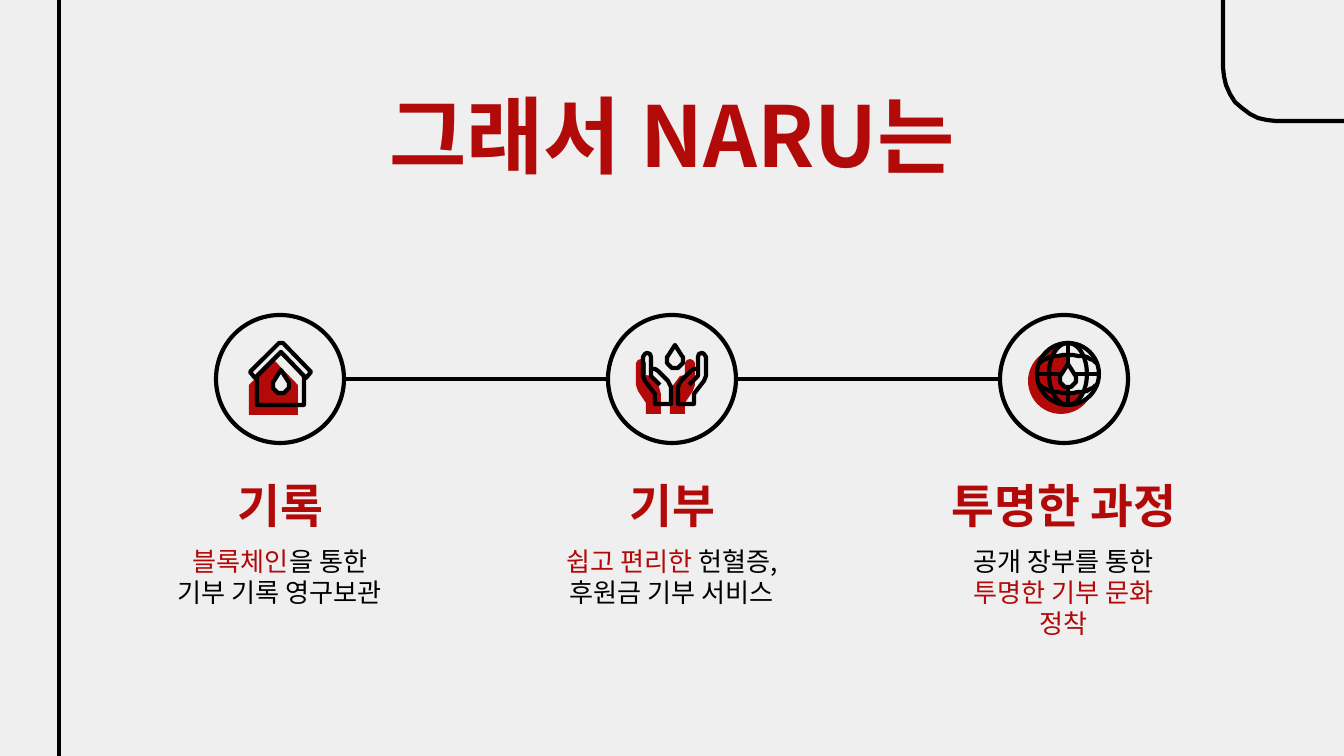
from math import cos, radians, sin

from lxml.etree import SubElement
from pptx import Presentation
from pptx.dml.color import RGBColor
from pptx.enum.shapes import MSO_CONNECTOR as Connector, MSO_SHAPE as Shape
from pptx.enum.text import MSO_ANCHOR as Anchor, PP_ALIGN as Align
from pptx.oxml.ns import qn
from pptx.util import Pt

RED = RGBColor(0xB2, 0x09, 0x09)
BLACK = RGBColor(0, 0, 0)
PAPER = RGBColor(0xEF, 0xEF, 0xEF)
FONT = "Noto Sans CJK KR"
STROKE = Pt(2.25)

WIDTH, HEIGHT = 1344, 756
EMU_PER_PX = 9144000 / WIDTH

TITLE = "그래서 NARU는"
STEPS = [
    ("기록", [[("블록체인", RED), ("을 통한", BLACK)], [("기부 기록 영구보관", BLACK)]]),
    ("기부", [[("쉽고 편리한 ", RED), ("헌혈증, 후원금 기부 서비스", BLACK)]]),
    ("투명한 과정", [[("공개 장부를 통한 ", BLACK), ("투명한 기부 문화 정착", RED)]]),
]
FIRST_CENTER, STEP_GAP = 280, 392
RING_Y, RING_RADIUS = 379, 64

HOUSE_SHADOW = [(249, 385), (274, 360), (298, 385), (298, 415), (249, 415)]
HOUSE_FILL = [(276, 366), (255, 388), (258, 410), (280, 411), (296, 395), (286, 380)]
HOUSE_WALLS = [(257, 376), (281, 352), (304, 376), (304, 405), (257, 405)]
HOUSE_ROOF = [(279, 343), (250, 372), (255, 378), (281, 352), (306, 378), (311, 372), (283, 343)]

HAND_SHADOW = [(636, 363), (638, 360), (641, 359), (644, 360), (646, 363), (646, 375),
               (651, 376), (659, 387), (661, 394), (661, 414), (646, 414), (646, 403),
               (638, 391), (636, 385)]
HAND_OUTLINE = [(643, 357), (645, 354), (647, 353), (650, 354), (651, 357), (651, 369),
                (655, 369), (658, 371), (668, 381), (671, 387), (671, 404), (655, 404),
                (655, 394), (645, 381), (643, 376)]
THUMB = [(651, 369), (651, 376), (660, 385)]
SHADOW_MIRROR, HAND_MIRROR = 1331, 1349

GLOBE_X, GLOBE_Y, GLOBE_RADIUS = 1068, 374, 31
GLOBE_LIGHT = [(1052, 356), (1062, 343), (1074, 344), (1085, 347), (1095, 357), (1099, 368),
               (1100, 379), (1091, 396), (1081, 404), (1078, 403), (1086, 391), (1068, 395),
               (1068, 387), (1060, 382), (1062, 374), (1068, 362), (1068, 355)]


def px(value):
    return round(value * EMU_PER_PX)


def paint(shape, fill, line):
    shape.shadow.inherit = False
    if fill is None:
        shape.fill.background()
    else:
        shape.fill.solid()
        shape.fill.fore_color.rgb = fill
    if line is None:
        shape.line.fill.background()
    else:
        shape.line.color.rgb = line
        shape.line.width = STROKE


def outline(points, fill=None, line=None, close=True):
    builder = slide.shapes.build_freeform(*points[0], scale=EMU_PER_PX)
    builder.add_line_segments(points[1:], close=close)
    paint(builder.convert_to_shape(), fill, line)


def ellipse(x, y, rx, ry, fill=None, line=None):
    paint(slide.shapes.add_shape(Shape.OVAL, px(x - rx), px(y - ry), px(2 * rx), px(2 * ry)), fill, line)


def rule(x1, y1, x2, y2):
    connector = slide.shapes.add_connector(Connector.STRAIGHT, px(x1), px(y1), px(x2), px(y2))
    connector.line.color.rgb = BLACK
    connector.line.width = STROKE
    SubElement(connector._element.spPr, qn("a:effectLst"))


def arc(x, y, rx, ry, start, end):
    return [(x + rx * cos(radians(a)), y + ry * sin(radians(a)))
            for a in range(start, end + (1 if end > start else -1), 10 if end > start else -10)]


def drop(x, tip):
    outline([(x, tip)] + arc(x, tip + 15, 8, 8, -30, 210), PAPER, BLACK)


def mirrored(points, total):
    return [(total - x, y) for x, y in points]


def write(box, center, top, width, height, paragraphs, size, anchor, bold=False):
    box.left, box.top = px(center - width / 2), px(top)
    box.width, box.height = px(width), px(height)
    frame = box.text_frame
    frame.word_wrap = True
    frame.vertical_anchor = anchor
    frame.margin_left = frame.margin_right = frame.margin_top = frame.margin_bottom = px(13)
    for index, pieces in enumerate(paragraphs):
        paragraph = frame.add_paragraph() if index else frame.paragraphs[0]
        paragraph.alignment = Align.CENTER
        paragraph.line_spacing = Pt(size * 1.2)
        paragraph.space_before = Pt(0)
        for words, color in pieces:
            run = paragraph.add_run()
            run.text = words
            run.font.size = Pt(size)
            run.font.bold = bold
            run.font.color.rgb = color
            run.font.name = FONT
            SubElement(run._r.get_or_add_rPr(), qn("a:ea"), typeface=FONT)


prs = Presentation()
prs.slide_width, prs.slide_height = px(WIDTH), px(HEIGHT)
slide = prs.slides.add_slide(prs.slide_layouts[5])
slide.background.fill.solid()
slide.background.fill.fore_color.rgb = PAPER

rule(59, 0, 59, HEIGHT)
outline([(1223, 0)] + arc(1276, 67, 53, 54, 180, 90) + [(WIDTH, 121)], line=BLACK, close=False)
write(slide.shapes.title, 672, 91, 858, 85, [[(TITLE, RED)]], 45, Anchor.MIDDLE, True)

for number, (heading, description) in enumerate(STEPS):
    center = FIRST_CENTER + number * STEP_GAP
    ellipse(center, RING_Y, RING_RADIUS, RING_RADIUS, line=BLACK)
    if number:
        rule(center - STEP_GAP + RING_RADIUS, RING_Y, center - RING_RADIUS, RING_Y)
    write(slide.shapes.add_textbox(0, 0, 0, 0), center, 461, 270, 85,
          [[(heading, RED)]], 25, Anchor.BOTTOM, True)
    write(slide.shapes.add_textbox(0, 0, 0, 0), center, 532, 254, 114,
          description, 14, Anchor.TOP)

outline(HOUSE_SHADOW, RED)
outline(HOUSE_FILL, RED)
outline(HOUSE_WALLS, line=BLACK)
outline(HOUSE_ROOF, PAPER, BLACK)
drop(281, 370)

for shadow in (HAND_SHADOW, mirrored(HAND_SHADOW, SHADOW_MIRROR)):
    outline(shadow, RED)
for hand, thumb in ((HAND_OUTLINE, THUMB),
                    (mirrored(HAND_OUTLINE, HAND_MIRROR), mirrored(THUMB, HAND_MIRROR))):
    outline(hand, line=BLACK)
    outline(thumb, line=BLACK, close=False)
drop(675, 345)

ellipse(1061, 381, 33, 33, RED)
outline(GLOBE_LIGHT, PAPER)
for radius in (GLOBE_RADIUS, 19):
    ellipse(GLOBE_X, GLOBE_Y, radius, GLOBE_RADIUS, line=BLACK)
rule(GLOBE_X, GLOBE_Y - GLOBE_RADIUS, GLOBE_X, GLOBE_Y + GLOBE_RADIUS)
rule(GLOBE_X - GLOBE_RADIUS, GLOBE_Y, GLOBE_X + GLOBE_RADIUS, GLOBE_Y)
outline(arc(GLOBE_X, GLOBE_Y - 9, 29, 10, 180, 360), line=BLACK, close=False)
outline(arc(GLOBE_X, GLOBE_Y + 9, 29, 10, 0, 180), line=BLACK, close=False)
drop(GLOBE_X, 364)

prs.save("out.pptx")
